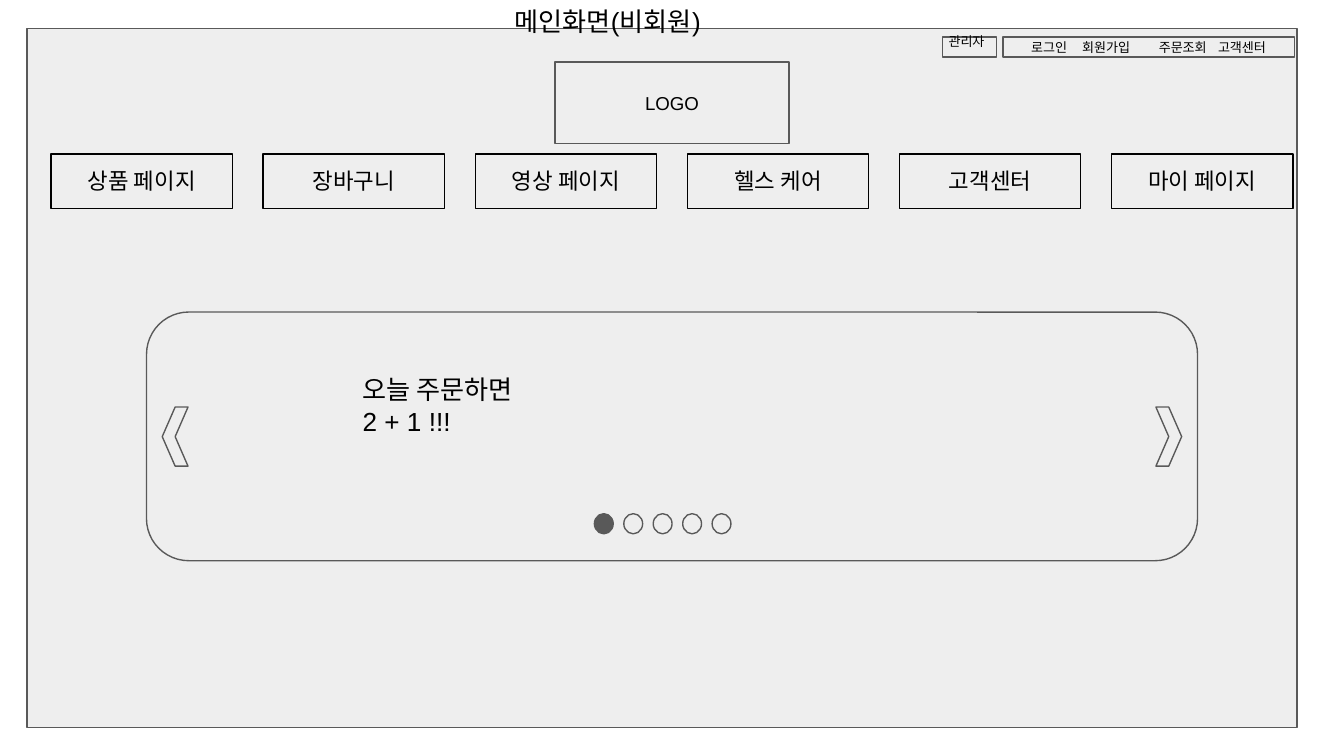
from lxml import etree
from pptx import Presentation
from pptx import util as u
from pptx.dml import color
from pptx.enum import shapes, text
from pptx.oxml.ns import qn

INK, GRAY, PANEL = "000000", "595959", "EEEEEE"
SHAPE, ALIGN = shapes.MSO_SHAPE, text.PP_ALIGN


def rgb(value):
    return color.RGBColor.from_string(value)


def inside(box, left, top, width, height):
    """Return a box given in percent of its parent box."""
    x, y, w, h = box
    return (int(x + w * left / 100), int(y + h * top / 100),
            int(w * width / 100), int(h * height / 100))


def add_shape(slide, box, kind=SHAPE.RECTANGLE, fill=PANEL, line=GRAY):
    shape = slide.shapes.add_shape(kind, *box)
    shape.shadow.inherit = False
    if fill:
        shape.fill.solid()
        shape.fill.fore_color.rgb = rgb(fill)
    else:
        shape.fill.background()
    shape.line.color.rgb = rgb(line)
    shape.line.width = u.Pt(0.75)
    return shape


def write(shape, words, size, align=ALIGN.LEFT, grow=True):
    frame = shape.text_frame
    frame.word_wrap = True
    frame.margin_left = frame.margin_right = u.Inches(0.1)
    frame.margin_top = frame.margin_bottom = u.Inches(0.1)
    if grow:
        frame.auto_size = text.MSO_AUTO_SIZE.SHAPE_TO_FIT_TEXT
        frame.vertical_anchor = text.MSO_ANCHOR.TOP
    else:
        frame.vertical_anchor = text.MSO_ANCHOR.MIDDLE
    paragraph = frame.paragraphs[0]
    paragraph.text = words
    paragraph.alignment = align
    paragraph.font.name = "Arial"
    paragraph.font.size = u.Pt(size)
    paragraph.font.color.rgb = rgb(INK)
    return paragraph


def add_label(slide, box, words, size):
    write(slide.shapes.add_textbox(*box), words, size)


def set_tabs(paragraph, stops):
    properties = paragraph._p.get_or_add_pPr()
    tabs = etree.Element(qn("a:tabLst"))
    for stop in stops:
        etree.SubElement(tabs, qn("a:tab"), pos=str(u.Inches(stop)), algn="l")
    # Tab stops come before the default run properties
    properties.find(qn("a:defRPr")).addprevious(tabs)


def draw_header(slide, box):
    # Logo placeholder
    logo = add_shape(slide, inside(box, 41.3, 40.9, 17.4, 54.2))
    write(logo, "LOGO", 10, ALIGN.CENTER, grow=False)

    # Account links, spaced with tab stops
    links = add_shape(slide, inside(box, 74.63, 24.4, 21.7, 13.3))
    words = ["로그인", "회원가입", "주문조회", "고객센터"]
    paragraph = write(links, "\t".join(words), 7, grow=False)
    links.text_frame.margin_left = u.Inches(0.21)
    links.text_frame.margin_right = 0
    set_tabs(paragraph, [0.38, 0.95, 1.39])

    # Administrator link
    add_shape(slide, inside(box, 70.13, 24.4, 4, 13.3))
    add_label(slide, inside(box, 69.6, 16.9, 6.1, 28.4), "관리자", 7)

    # Screen title
    add_label(slide, inside(box, 37.3, -5.33, 48.7, 39.1), "메인화면(비회원)", 14)


def draw_menu(slide, box, names):
    width = 14.61
    pitch = (100 - width) / (len(names) - 1)
    for column, name in enumerate(names):
        button = add_shape(slide, inside(box, column * pitch, 0, width, 100),
                           fill=None, line=INK)
        write(button, name, 12, ALIGN.CENTER)


def draw_banner(slide, box, pages=5):
    panel = add_shape(slide, box, SHAPE.ROUNDED_RECTANGLE)
    panel.adjustments[0] = 0.17

    # Previous and next arrows
    for left, rotation in ((1.5, 180), (96.04, 0)):
        arrow = add_shape(slide, inside(box, left, 38.2, 2.45, 23.78), SHAPE.CHEVRON)
        arrow.adjustments[0] = 0.5
        arrow.rotation = rotation

    add_label(slide, inside(box, 19.31, 19.46, 59.59, 36.22),
              "오늘 주문하면\v2 + 1 !!!", 14)

    # Page dots, the first one active
    for page in range(pages):
        add_shape(slide, inside(box, 42.62, 81.08, 1.79, 8.11)[:0]
                  or inside(box, 42.62 + 2.8 * page, 81.08, 1.79, 8.11),
                  SHAPE.OVAL, fill=PANEL if page else GRAY)


def main():
    presentation = Presentation()
    presentation.slide_width = u.Inches(10)
    presentation.slide_height = u.Inches(10 * 9 / 16)
    slide = presentation.slides.add_slide(presentation.slide_layouts[6])
    page = (0, 0, presentation.slide_width, presentation.slide_height)

    add_shape(slide, inside(page, 2, 3.75, 94.5, 92.5))
    draw_header(slide, inside(page, 0, 0, 100, 20))
    draw_menu(slide, inside(page, 3.8, 20.36, 92.4, 7.2),
              ["상품 페이지", "장바구니", "영상 페이지",
               "헬스 케어", "고객센터", "마이 페이지"])
    draw_banner(slide, inside(page, 10.9, 41.28, 78.2, 32.89))
    presentation.save("out.pptx")


if __name__ == "__main__":
    main()
